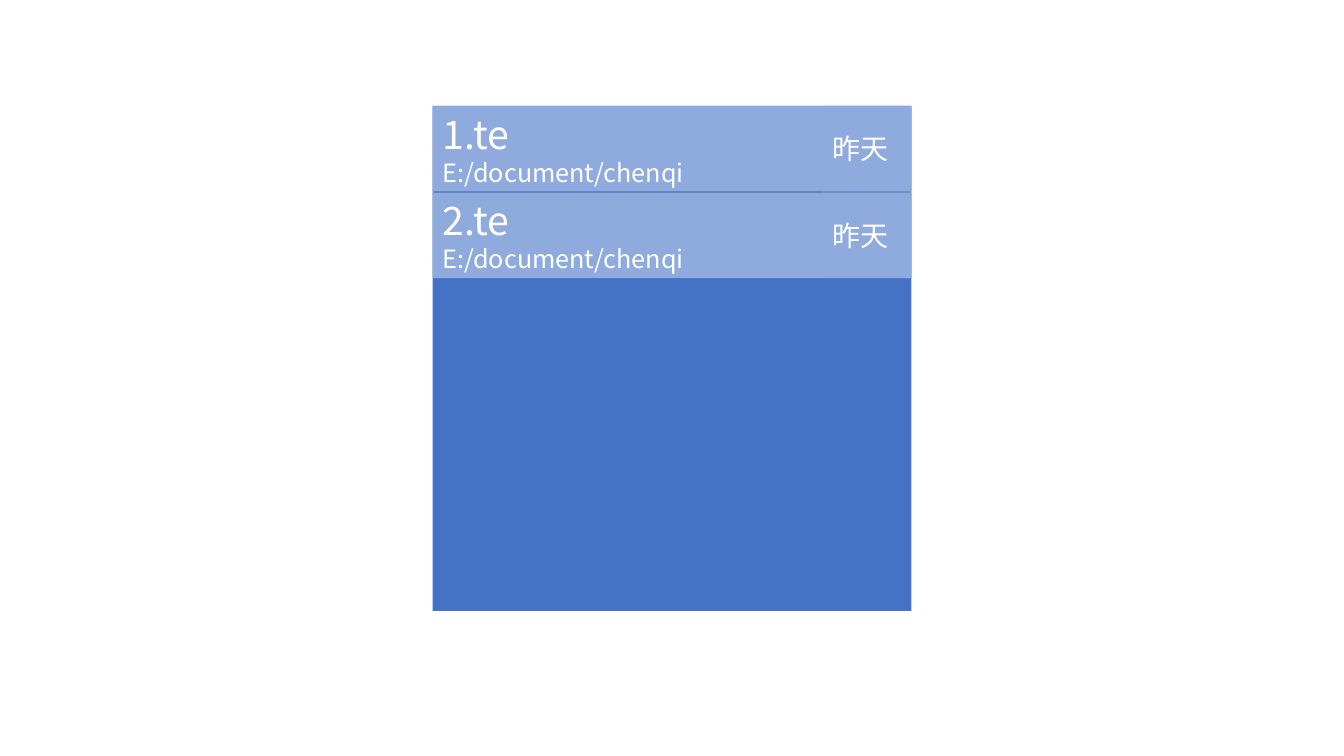
from dataclasses import dataclass

from lxml import etree
from pptx import Presentation
from pptx import util as u
from pptx.dml import color
from pptx.enum import shapes, text
from pptx.oxml import ns


@dataclass(frozen=True)
class Theme:
    panel: str = "4472C4"
    row: str = "8FAADC"
    ink: str = "FFFFFF"
    font: str = "Noto Sans CJK SC"
    name_size: int = 28
    location_size: int = 18
    date_size: int = 20


@dataclass(frozen=True)
class Box:
    left: float
    top: float
    width: float
    height: float


THEME = Theme()
GRID_UNIT = u.Inches(1)
COLUMNS, ROWS = 13.33, 7.5
PANEL = Box(4.29, 1.05, 4.75, 5.01)
ROW_HEIGHT, ROW_PITCH, DATE_WIDTH = 0.85, 0.86, 0.88
RECENT_FILES = [
    ("1.te", "E:/document/chenqi", "昨天"),
    ("2.te", "E:/document/chenqi", "昨天"),
]


def grid(count):
    return int(count * GRID_UNIT)


def add_block(slide, box, fill, lines=()):
    shape = slide.shapes.add_shape(
        shapes.MSO_SHAPE.RECTANGLE,
        grid(box.left), grid(box.top), grid(box.width), grid(box.height),
    )
    shape.shadow.inherit = False
    shape.fill.solid()
    shape.fill.fore_color.rgb = color.RGBColor.from_string(fill)
    shape.line.fill.background()
    frame = shape.text_frame
    frame.word_wrap = True
    frame.vertical_anchor = text.MSO_ANCHOR.MIDDLE
    for index, (words, size) in enumerate(lines):
        paragraph = frame.add_paragraph() if index else frame.paragraphs[0]
        paragraph.alignment = text.PP_ALIGN.LEFT
        run = paragraph.add_run()
        run.text = words
        run.font.size = u.Pt(size)
        run.font.name = THEME.font
        run.font.color.rgb = color.RGBColor.from_string(THEME.ink)
        east_asian = etree.SubElement(run.font._element, ns.qn("a:ea"))
        east_asian.set("typeface", THEME.font)
        run.font._element.find(ns.qn("a:latin")).addnext(east_asian)


def add_file_row(slide, box, name, location, date):
    add_block(slide, box, THEME.row,
              [(name, THEME.name_size), (location, THEME.location_size)])
    date_box = Box(box.left + box.width - DATE_WIDTH, box.top, DATE_WIDTH, box.height)
    add_block(slide, date_box, THEME.row, [(date, THEME.date_size)])


def add_file_list(slide, box, files):
    add_block(slide, box, THEME.panel)
    for index, file in enumerate(files):
        row = Box(box.left, box.top + index * ROW_PITCH, box.width, ROW_HEIGHT)
        add_file_row(slide, row, *file)


def main():
    presentation = Presentation()
    presentation.slide_width = grid(COLUMNS)
    presentation.slide_height = grid(ROWS)
    slide = presentation.slides.add_slide(presentation.slide_layouts[6])
    add_file_list(slide, PANEL, RECENT_FILES)
    presentation.save("out.pptx")


if __name__ == "__main__":
    main()
